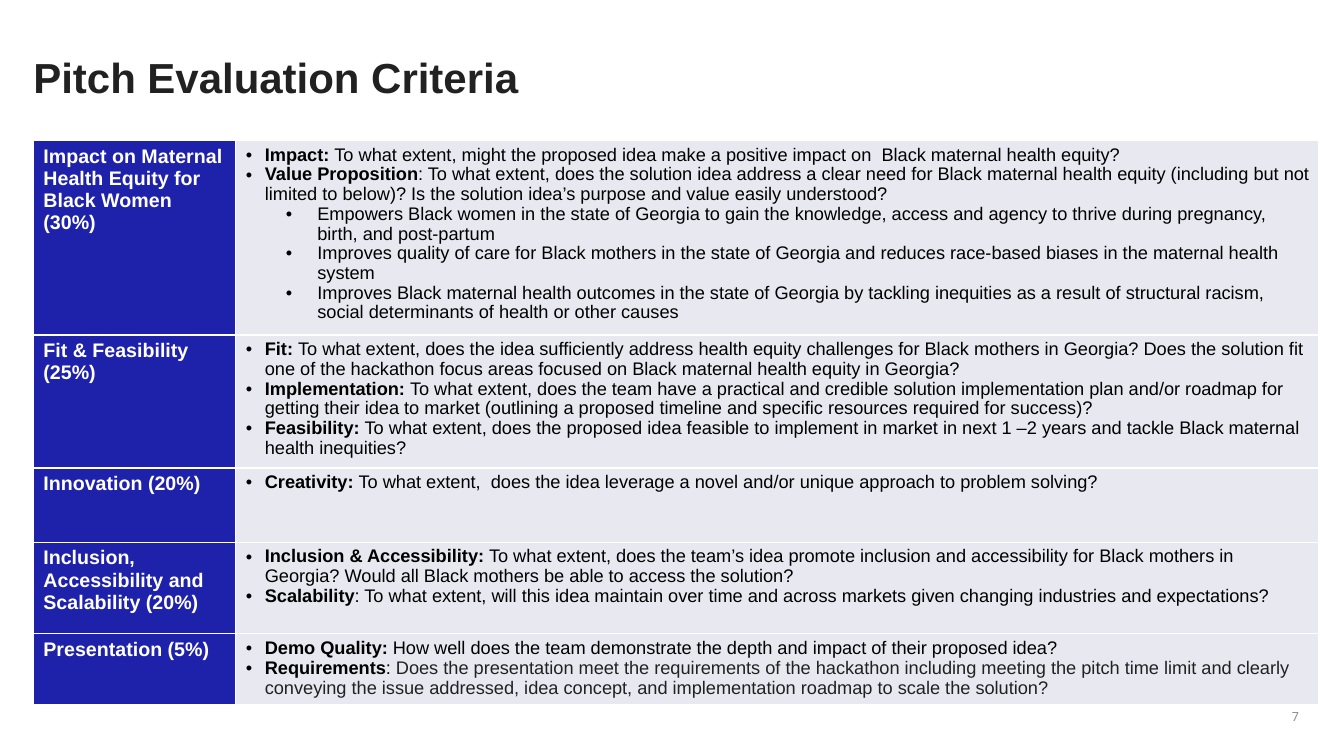
from lxml.etree import SubElement
from pptx import Presentation
from pptx.dml.color import RGBColor
from pptx.enum.text import MSO_ANCHOR, PP_ALIGN
from pptx.oxml.ns import qn
from pptx.util import Pt

BLUE = RGBColor(0x1E, 0x22, 0xAA)
LAVENDER = RGBColor(0xE8, 0xE8, 0xF1)
WHITE = RGBColor(0xFF, 0xFF, 0xFF)
BLACK = RGBColor(0, 0, 0)
CHARCOAL = RGBColor(0x21, 0x21, 0x21)
GREY = RGBColor(0x8D, 0x8D, 0x8D)

TITLE = "Pitch Evaluation Criteria"
PAGE = "7"
CRITERIA = [
    ("Impact on Maternal Health Equity for Black Women (30%)", 139, [
        ("Impact: ", "To what extent, might the proposed idea make a positive impact on  Black maternal health equity?"),
        ("Value Proposition", ": To what extent, does the solution idea address a clear need for Black maternal health equity (including but not limited to below)? Is the solution idea’s purpose and value easily understood?"),
        ("", "Empowers Black women in the state of Georgia to gain the knowledge, access and agency to thrive during pregnancy, birth, and post-partum"),
        ("", "Improves quality of care for Black mothers in the state of Georgia and reduces race-based biases in the maternal health system"),
        ("", "Improves Black maternal health outcomes in the state of Georgia by tackling inequities as a result of structural racism,  social determinants of health or other causes"),
    ]),
    ("Fit & Feasibility (25%)", 95, [
        ("Fit: ", "To what extent, does the idea sufficiently address health equity challenges for Black mothers in Georgia? Does the solution fit one of the hackathon focus areas focused on Black maternal health equity in Georgia?"),
        ("Implementation: ", "To what extent, does the team have a practical and credible solution implementation plan and/or roadmap for getting their idea to market (outlining a proposed timeline and specific resources required for success)?"),
        ("Feasibility: ", "To what extent, does the proposed idea feasible to implement in market in next 1 –2 years and tackle Black maternal health inequities?"),
    ]),
    ("Innovation (20%)", 53, [
        ("Creativity: ", "To what extent,  does the idea leverage a novel and/or unique approach to problem solving?"),
    ]),
    ("Inclusion, Accessibility and Scalability (20%)", 65.5, [
        ("Inclusion & Accessibility: ", "To what extent, does the team’s idea promote inclusion and accessibility for Black mothers in Georgia? Would all Black mothers be able to access the solution?"),
        ("Scalability", ": To what extent, will this idea maintain over time and across markets given changing industries and expectations?"),
    ]),
    ("Presentation (5%)", 50.5, [
        ("Demo Quality: ", "How well does the team demonstrate the depth and impact of their proposed idea?"),
        ("Requirements", ": ", "Does the presentation meet the requirements of the hackathon including meeting the pitch time limit and clearly conveying the issue addressed, idea concept, and implementation roadmap to scale the solution?"),
    ]),
]
COLUMN_WIDTHS = (144.7, 773.3)
LEFT = 23.8


def set_font(font, size, color, name="Arial"):
    font.name, font.size = name, Pt(size)
    font.color.rgb = color


def clear_margins(frame):
    frame.margin_left = frame.margin_right = frame.margin_top = frame.margin_bottom = 0
    frame.word_wrap = True


def add_bullet(paragraph, indent, hang):
    props = paragraph._p.get_or_add_pPr()
    props.set("marL", str(Pt(indent)))
    props.set("indent", str(-Pt(hang)))
    SubElement(props, qn("a:buFont"), typeface="Arial")
    SubElement(props, qn("a:buChar"), char="•")


def style_cell(cell, color):
    props = cell._tc.get_or_add_tcPr()
    for side in ("a:lnL", "a:lnR", "a:lnT", "a:lnB"):
        line = SubElement(props, qn(side), w=str(Pt(1)))
        SubElement(SubElement(line, qn("a:solidFill")), qn("a:srgbClr"), val=str(WHITE))
    cell.fill.solid()
    cell.fill.fore_color.rgb = color


def fill_heading(cell, heading):
    style_cell(cell, BLUE)
    cell.text = heading
    paragraph = cell.text_frame.paragraphs[0]
    paragraph.space_after = Pt(3)
    set_font(paragraph.font, 14, WHITE)
    paragraph.font.bold = True


def fill_questions(cell, questions):
    style_cell(cell, LAVENDER)
    frame = cell.text_frame
    for index, (label, question, *dark_text) in enumerate(questions):
        paragraph = frame.add_paragraph() if index else frame.paragraphs[0]
        paragraph.line_spacing = 0.97
        if label:
            add_bullet(paragraph, 13.5, 13.5)
        else:
            paragraph.level = 1
            add_bullet(paragraph, 51, 22.5)
        set_font(paragraph.font, 13, BLACK)
        if label:
            term = paragraph.add_run()
            term.text = label
            term.font.bold = True
        paragraph.add_run().text = question
        for text in dark_text:
            dark = paragraph.add_run()
            dark.text = text
            dark.font.color.rgb = CHARCOAL


def main():
    deck = Presentation()
    deck.slide_width, deck.slide_height = Pt(960), Pt(540)
    slide = deck.slides.add_slide(deck.slide_layouts[5])

    title = slide.shapes.title
    title.left, title.top, title.width, title.height = Pt(LEFT), Pt(36.7), Pt(899), Pt(36)
    title.text = TITLE
    clear_margins(title.text_frame)
    title.text_frame.vertical_anchor = MSO_ANCHOR.MIDDLE
    heading = title.text_frame.paragraphs[0]
    heading.alignment = PP_ALIGN.LEFT
    set_font(heading.font, 30, CHARCOAL)
    heading.font.bold = True

    heights = [height for _, height, _ in CRITERIA]
    table = slide.shapes.add_table(len(CRITERIA), 2, Pt(LEFT), Pt(100.3),
                                   Pt(sum(COLUMN_WIDTHS)), Pt(sum(heights))).table
    table.first_row = table.horz_banding = False
    for column, width in zip(table.columns, COLUMN_WIDTHS):
        column.width = Pt(width)
    for row, (criterion, height, questions) in zip(table.rows, CRITERIA):
        row.height = Pt(height)
        fill_heading(row.cells[0], criterion)
        fill_questions(row.cells[1], questions)

    page = slide.shapes.add_textbox(Pt(922.8), Pt(506.2), Pt(37), Pt(33.8)).text_frame
    clear_margins(page)
    page.text = PAGE
    set_font(page.paragraphs[0].font, 9, GREY, "Roboto")

    deck.save("out.pptx")


if __name__ == "__main__":
    main()
